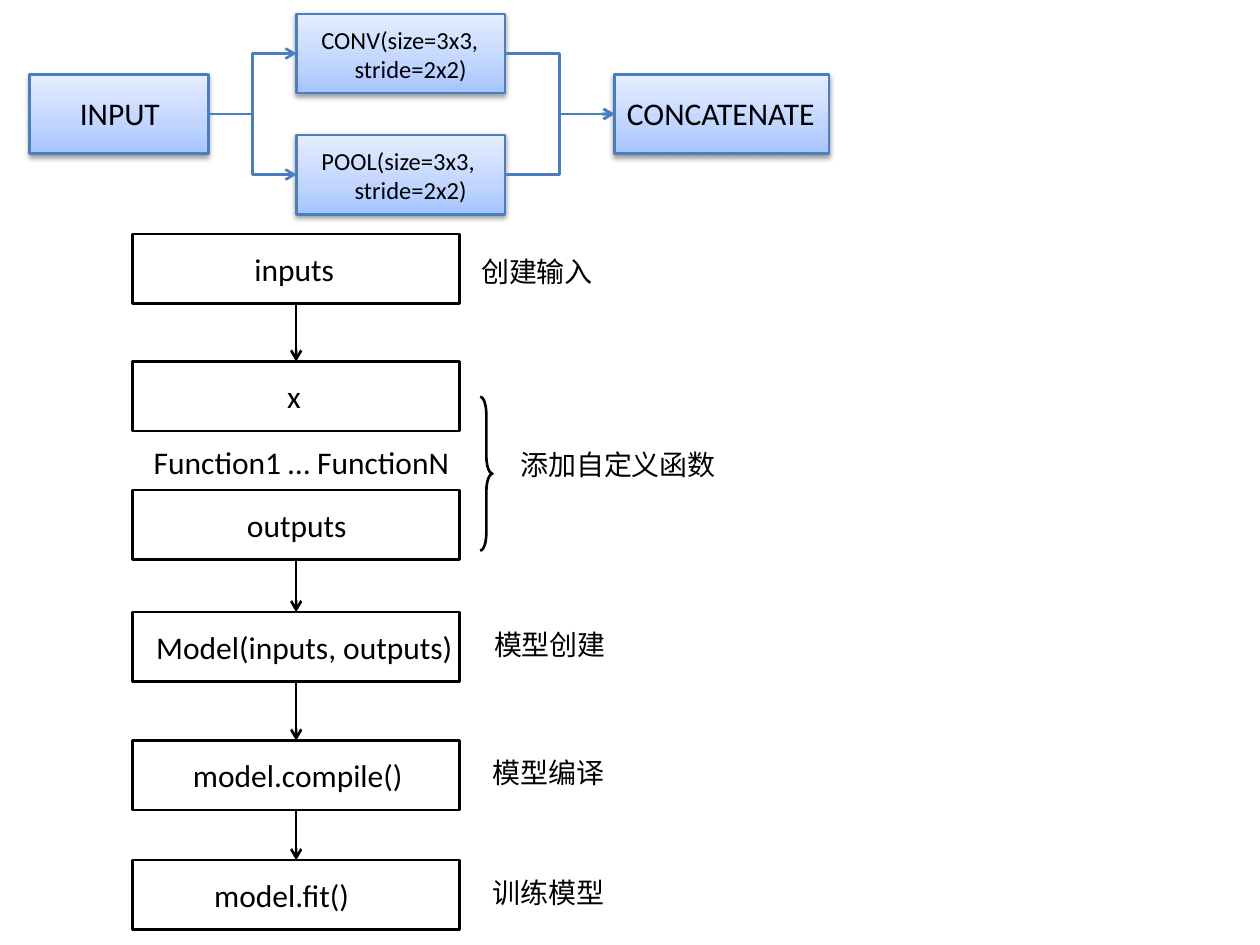
from dataclasses import dataclass

import pptx
import pptx.dml.color
import pptx.enum.shapes
import pptx.enum.text
import pptx.oxml
import pptx.oxml.ns
import pptx.util

Cm = pptx.util.Cm
Pt = pptx.util.Pt
MSO_SHAPE = pptx.enum.shapes.MSO_SHAPE
MSO_CONNECTOR = pptx.enum.shapes.MSO_CONNECTOR
LEFT, RIGHT, TOP, BOTTOM = 1, 3, 0, 2  # connection sites of a rectangle


@dataclass(frozen=True)
class Theme:
    latin: str = "Calibri"
    cjk: str = "Noto Sans CJK SC"
    ink: str = "000000"
    blue: str = "4B7EBC"
    gradient: tuple = ((0, "A4C4FF"), (35, "BFD4FF"), (100, "E6EEFF"))
    label: int = 18
    note: int = 16
    detail: int = 14
    line: float = 1.5


THEME = Theme()


def rgb(value):
    return pptx.dml.color.RGBColor.from_string(value)


def xml(body):
    """Parse an element whose tag is the first word of body, in the a: namespace."""
    tag, rest = body[1:].split(None, 1)
    return pptx.oxml.parse_xml(f"<{tag} {pptx.oxml.ns.nsdecls('a')} {rest}")


def add_text(slide, left, top, width, lines, size, font=THEME.latin, indent=0):
    """Add an unwrapped text box; lines after the first are indented."""
    height = 0.25 + len(lines) * size * 0.043
    tb = slide.shapes.add_textbox(Cm(left), Cm(top), Cm(width), Cm(height))
    tf = tb.text_frame
    tf.word_wrap = False
    tf.auto_size = pptx.enum.text.MSO_AUTO_SIZE.SHAPE_TO_FIT_TEXT
    tf.text = "\n".join(lines)
    for i, p in enumerate(tf.paragraphs):
        if i and indent:
            p._p.get_or_add_pPr().set("marL", str(Pt(indent)))
        for r in p.runs:
            r.font.size = Pt(size)
            r.font.name = font
            r.font.color.rgb = rgb(THEME.ink)
            r._r.get_or_add_rPr().append(xml(f'<a:ea typeface="{font}"/>'))


def add_outline(slide, kind, left, top, width, height, color=THEME.ink):
    sp = slide.shapes.add_shape(kind, Cm(left), Cm(top), Cm(width), Cm(height))
    sp.shadow.inherit = False
    sp.fill.background()
    sp.line.color.rgb = rgb(color)
    sp.line.width = Pt(THEME.line)
    return sp


def add_layer_box(slide, left, top, width, height):
    """Add a blue gradient box with a soft shadow below it."""
    sp = add_outline(slide, MSO_SHAPE.RECTANGLE, left, top, width, height, THEME.blue)
    stops = "".join(f'<a:gs pos="{pos * 1000}"><a:srgbClr val="{color}"/></a:gs>'
                    for pos, color in THEME.gradient)
    spPr = sp._element.spPr
    no_fill = spPr.find(pptx.oxml.ns.qn("a:noFill"))
    spPr.replace(no_fill, xml(
        f'<a:gradFill rotWithShape="1"><a:gsLst>{stops}</a:gsLst>'
        '<a:lin ang="16200000" scaled="0"/></a:gradFill>'))
    effects = spPr.find(pptx.oxml.ns.qn("a:effectLst"))
    effects.append(xml(
        f'<a:outerShdw blurRad="{Pt(3.1)}" dist="{Pt(1.6)}" dir="5400000" rotWithShape="0">'
        f'<a:srgbClr val="{THEME.ink}"><a:alpha val="38000"/></a:srgbClr></a:outerShdw>'))
    return sp


def add_arrow(slide, kind, start, start_site, end, end_site, color):
    cxn = slide.shapes.add_connector(kind, 0, 0, 0, 0)
    cxn.begin_connect(start, start_site)
    cxn.end_connect(end, end_site)
    cxn.line.color.rgb = rgb(color)
    cxn.line.width = Pt(THEME.line)
    cxn.line._get_or_add_ln().append(xml('<a:tailEnd type="arrow"/>'))
    cxn._element.spPr.append(xml("<a:effectLst />"))


def add_branch_diagram(slide, left, top):
    """Input, two parallel layers and their concatenation."""
    height, middle = 1.6, 1.22
    # x, y, width, lines, text size, text x, text y, text width
    layers = (
        (0, middle, 3.6, ["INPUT"], THEME.label, 0.76, 0.28, 2.13),
        (5.38, 0, 4.2, ["CONV(size=3x3,", "stride=2x2)"], THEME.detail, 0.25, 0.1, 3.71),
        (5.38, 2 * middle, 4.2, ["POOL(size=3x3,", "stride=2x2)"], THEME.detail,
         0.25, 0.1, 3.63),
        (11.79, middle, 4.32, ["CONCATENATE"], THEME.label, 0, 0.28, 4.32),
    )
    boxes = []
    for x, y, width, lines, size, tx, ty, tw in layers:
        x, y = left + x, top + y
        boxes.append(add_layer_box(slide, x, y, width, height))
        add_text(slide, x + tx, y + ty, tw, lines, size, indent=19)
    source, *branches, merge = boxes
    for start, end in ([(source, b) for b in branches] + [(b, merge) for b in branches]):
        add_arrow(slide, MSO_CONNECTOR.ELBOW, start, RIGHT, end, LEFT, THEME.blue)


def add_model_flow(slide, left, top):
    """Column of model-building steps with notes to the right."""
    width, height = 6.6, 1.4
    # y, label, label x, label width, note, note x, note y
    steps = (
        (0, "inputs", 2.21, 2.13, "创建输入", 6.78, 0.28),
        (2.57, "x", 2.87, 0.79, None, 0, 0),
        (5.16, "outputs", 2.06, 2.54, None, 0, 0),
        (7.62, "Model(inputs, outputs)", 0.23, 6.55, "模型创建", 7.04, 0.18),
        (10.21, "model.compile()", 0.97, 4.8, "模型编译", 7.01, 0.18),
        (12.62, "model.fit()", 1.4, 3.28, "训练模型", 7.01, 0.18),
    )
    boxes = []
    for y, label, lx, lw, note, nx, ny in steps:
        y += top
        boxes.append(add_outline(slide, MSO_SHAPE.RECTANGLE, left, y, width, height))
        add_text(slide, left + lx, y + 0.19, lw, [label], THEME.label)
        if note:
            add_text(slide, left + nx, y + ny, 2.79, [note], THEME.note, THEME.cjk)

    # The functions sit between x and outputs, so no arrow joins those two
    inputs, x, *rest = boxes
    for start, end in [(inputs, x), *zip(rest, rest[1:])]:
        add_arrow(slide, MSO_CONNECTOR.STRAIGHT, start, BOTTOM, end, TOP, THEME.ink)

    add_text(slide, left + 0.18, top + 4.09, 6.55, ["Function1 … FunctionN"], THEME.label)
    brace = add_outline(slide, MSO_SHAPE.RIGHT_BRACE, left + 7.01, top + 3.28, 0.25, 3.1)
    brace.adjustments[0] = 1.4
    add_text(slide, left + 7.57, top + 4.17, 4.5, ["添加自定义函数"], THEME.note, THEME.cjk)


def main():
    prs = pptx.Presentation()
    prs.slide_width, prs.slide_height = Cm(25.4), Cm(19.05)
    slide = prs.slides.add_slide(prs.slide_layouts[6])
    add_branch_diagram(slide, 0.6, 0.28)
    add_model_flow(slide, 2.67, 4.72)
    prs.save("out.pptx")


if __name__ == "__main__":
    main()
